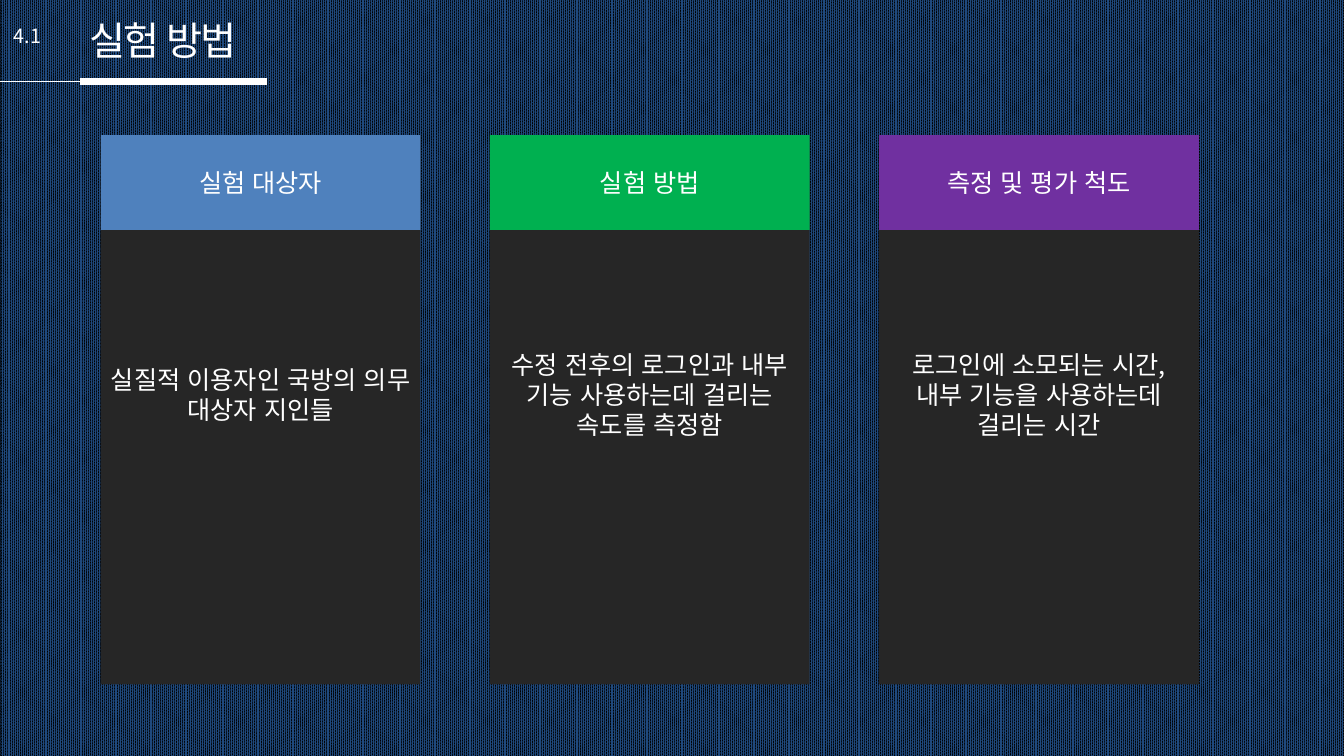
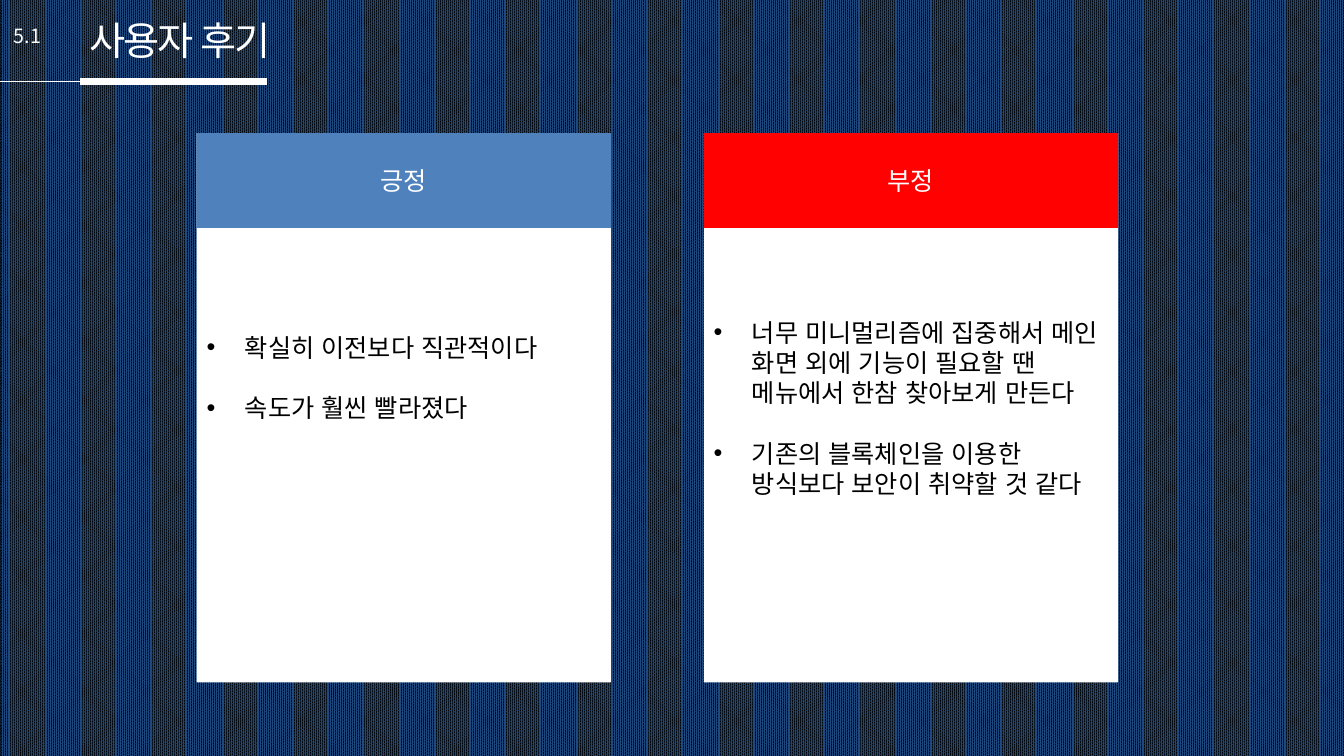
from dataclasses import dataclass

from lxml import etree
from pptx import Presentation
from pptx.dml.color import RGBColor
from pptx.enum.dml import MSO_PATTERN
from pptx.enum.lang import MSO_LANGUAGE_ID
from pptx.enum.shapes import MSO_CONNECTOR, MSO_SHAPE
from pptx.enum.text import MSO_ANCHOR, MSO_AUTO_SIZE, PP_ALIGN
from pptx.oxml.ns import qn
from pptx.util import Inches, Pt

RECTANGLE = MSO_SHAPE.RECTANGLE
STRAIGHT = MSO_CONNECTOR.STRAIGHT
LEFT, CENTER = PP_ALIGN.LEFT, PP_ALIGN.CENTER
TOP, MIDDLE = MSO_ANCHOR.TOP, MSO_ANCHOR.MIDDLE
NO_AUTOFIT = MSO_AUTO_SIZE.NONE
KOREAN = MSO_LANGUAGE_ID.KOREAN
WEAVE = MSO_PATTERN.PERCENT_90

WHITE = RGBColor(0xFF, 0xFF, 0xFF)
BLACK = RGBColor(0x00, 0x00, 0x00)
NAVY = RGBColor(0x1F, 0x49, 0x7D)
CHARCOAL = RGBColor(0x26, 0x26, 0x26)
BLUE = RGBColor(0x4F, 0x81, 0xBD)
GREEN = RGBColor(0x00, 0xB0, 0x50)
PURPLE = RGBColor(0x70, 0x30, 0xA0)
RED = RGBColor(0xFF, 0x01, 0x01)

FONT = "Noto Sans CJK KR"
TITLE_SIZE, NUMBER_SIZE, BODY_SIZE = 28, 14, 18
TITLE_SPACING = -150  # hundredths of a point
SLIDE_WIDTH, SLIDE_HEIGHT = 13.33, 7.5

# Header and card measures, in inches
TITLE_LEFT, RULE_RIGHT, RULE_TOP = 0.79, 2.65, 0.81
CARD_HEIGHT, BAND_HEIGHT = 5.45, 0.94
BULLET_INDENT = 0.38
BODY_LINE = 0.3
TEXT_INSET = 0.05


@dataclass(frozen=True)
class Card:
    heading: str
    color: RGBColor
    lines: tuple[str, ...]
    lift: int  # body lines kept free below the text


@dataclass(frozen=True)
class CardSlide:
    number: str
    title: str
    left: float
    right: float
    top: float
    gap: float
    body_fill: RGBColor
    body_color: RGBColor
    bulleted: bool
    cards: tuple[Card, ...]


SLIDES = (
    CardSlide("4.1", "실험 방법", 1, 11.89, 1.34, 0.69, CHARCOAL, WHITE, False, (
        Card("실험 대상자", BLUE, ("실질적 이용자인 국방의 의무 대상자 지인들",), 1),
        Card("실험 방법", GREEN,
             ("수정 전후의 로그인과 내부 기능 사용하는데 걸리는 속도를 측정함",), 1),
        Card("측정 및 평가 척도", PURPLE,
             ("로그인에 소모되는 시간, 내부 기능을 사용하는데 걸리는 시간",), 1),
    )),
    CardSlide("5.1", "사용자 후기", 1.95, 11.09, 1.32, 0.92, WHITE, BLACK, True, (
        Card("긍정", BLUE, ("확실히 이전보다 직관적이다", "속도가 훨씬 빨라졌다"), 2),
        Card("부정", RED,
             ("너무 미니멀리즘에 집중해서 메인 화면 외에 기능이 필요할 땐 "
              "메뉴에서 한참 찾아보게 만든다",
              "기존의 블록체인을 이용한 방식보다 보안이 취약할 것 같다"), 0),
    )),
)


def add_text(paragraph, text: str, size: float, color: RGBColor, spacing: int = 0) -> None:
    run = paragraph.add_run()
    run.text = text
    font = run.font
    font.size, font.name, font.language_id = Pt(size), FONT, KOREAN
    font.color.rgb = color
    properties = run._r.get_or_add_rPr()
    etree.SubElement(properties, qn("a:ea"), typeface=FONT)
    if spacing:
        properties.set("spc", str(spacing))


def add_bullet(paragraph) -> None:
    properties = paragraph._p.get_or_add_pPr()
    properties.set("marL", str(Inches(BULLET_INDENT)))
    properties.set("indent", str(-Inches(BULLET_INDENT)))
    etree.SubElement(properties, qn("a:buFont"), typeface="Arial")
    etree.SubElement(properties, qn("a:buChar"), char="•")


def add_rule(slide, left: float, right: float, width: float) -> None:
    rule = slide.shapes.add_connector(
        STRAIGHT, Inches(left), Inches(RULE_TOP), Inches(right), Inches(RULE_TOP))
    rule.line.color.rgb = WHITE
    rule.line.width = Pt(width)
    etree.SubElement(rule._element.spPr, qn("a:effectLst"))


def add_panel(shapes, left: float, top: float, width: float, height: float, fill: RGBColor):
    panel = shapes.add_shape(
        RECTANGLE, Inches(left), Inches(top), Inches(width), Inches(height))
    panel.shadow.inherit = False
    panel.fill.solid()
    panel.fill.fore_color.rgb = fill
    panel.line.fill.background()
    panel.text_frame.word_wrap = True
    panel.text_frame.vertical_anchor = MIDDLE
    return panel


def add_header(slide, number: str, title_text: str) -> None:
    add_rule(slide, 0, TITLE_LEFT, 0.75)
    add_rule(slide, TITLE_LEFT, RULE_RIGHT, 4.5)

    title = slide.shapes.title
    title.left, title.top = Inches(TITLE_LEFT), Inches(0.11)
    title.width, title.height = Inches(2.24), Inches(0.57)
    number_box = slide.shapes.add_textbox(
        Inches(0.04), Inches(0.19), Inches(0.5), Inches(0.34))
    for shape, text, size, spacing in (
        (title, title_text, TITLE_SIZE, TITLE_SPACING),
        (number_box, number, NUMBER_SIZE, 0),
    ):
        frame = shape.text_frame
        frame.auto_size, frame.word_wrap = NO_AUTOFIT, False
        frame.vertical_anchor = TOP
        frame.paragraphs[0].alignment = LEFT
        add_text(frame.paragraphs[0], text, size, WHITE, spacing)


def add_card(slide, layout: CardSlide, card: Card, left: float, width: float) -> None:
    shapes = slide.shapes.add_group_shape().shapes

    # Body
    body = add_panel(shapes, left, layout.top, width, CARD_HEIGHT, layout.body_fill)
    frame = body.text_frame
    frame.margin_bottom = Inches(TEXT_INSET + card.lift * BODY_LINE)
    for index, line in enumerate(card.lines):
        paragraph = frame.add_paragraph() if index else frame.paragraphs[0]
        paragraph.alignment = LEFT if layout.bulleted else CENTER
        if index:
            paragraph.space_before = Inches(BODY_LINE)
        if layout.bulleted:
            add_bullet(paragraph)
        add_text(paragraph, line, BODY_SIZE, layout.body_color)

    # Heading band
    band = add_panel(shapes, left, layout.top, width, BAND_HEIGHT, card.color)
    heading = band.text_frame.paragraphs[0]
    heading.alignment = CENTER
    add_text(heading, card.heading, BODY_SIZE, WHITE)


def add_card_slide(presentation, layout: CardSlide) -> None:
    slide = presentation.slides.add_slide(presentation.slide_layouts.get_by_name("Title Only"))
    add_header(slide, layout.number, layout.title)
    count = len(layout.cards)
    width = (layout.right - layout.left - layout.gap * (count - 1)) / count
    for column, card in enumerate(layout.cards):
        add_card(slide, layout, card, layout.left + column * (width + layout.gap), width)


def main() -> None:
    presentation = Presentation()
    presentation.slide_width = Inches(SLIDE_WIDTH)
    presentation.slide_height = Inches(SLIDE_HEIGHT)

    # Shared woven background
    background = presentation.slide_master.background.fill
    background.patterned()
    background.pattern = WEAVE
    background.fore_color.rgb = NAVY
    background.back_color.rgb = BLACK

    for layout in SLIDES:
        add_card_slide(presentation, layout)
    presentation.save("out.pptx")


if __name__ == "__main__":
    main()
